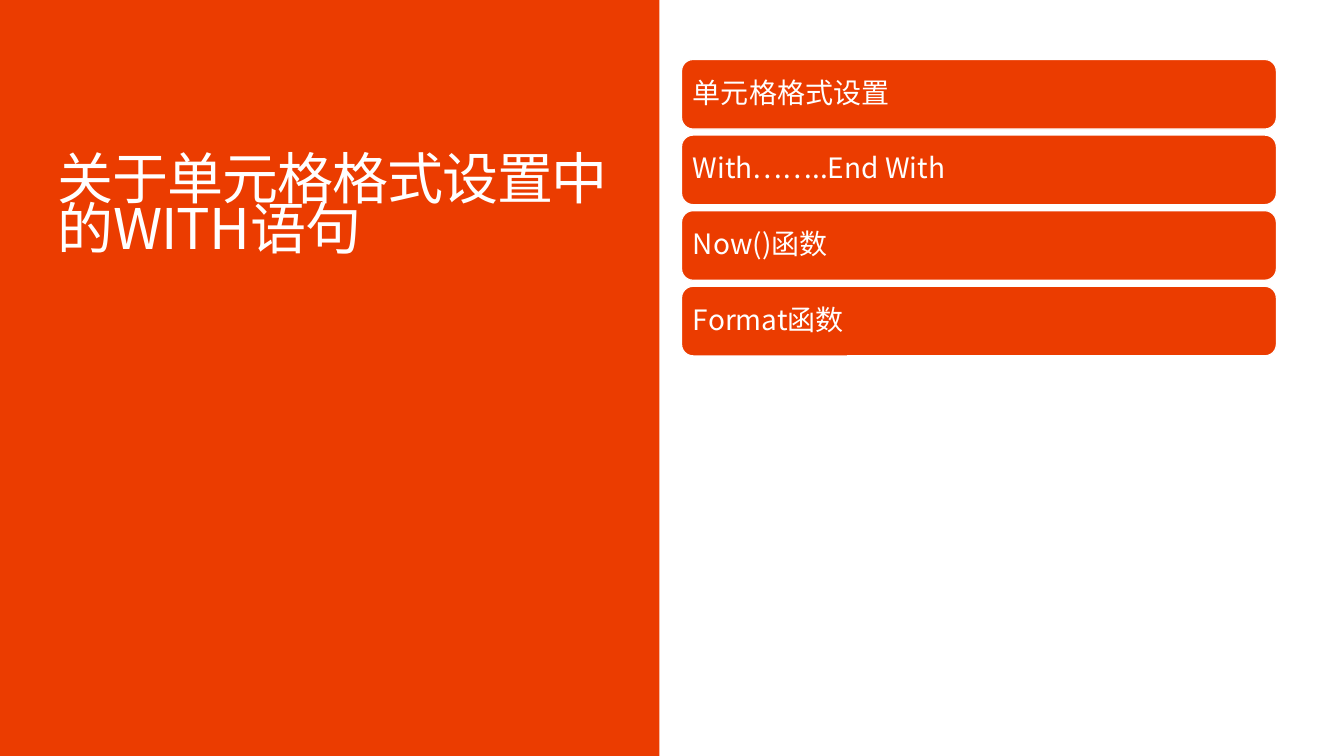
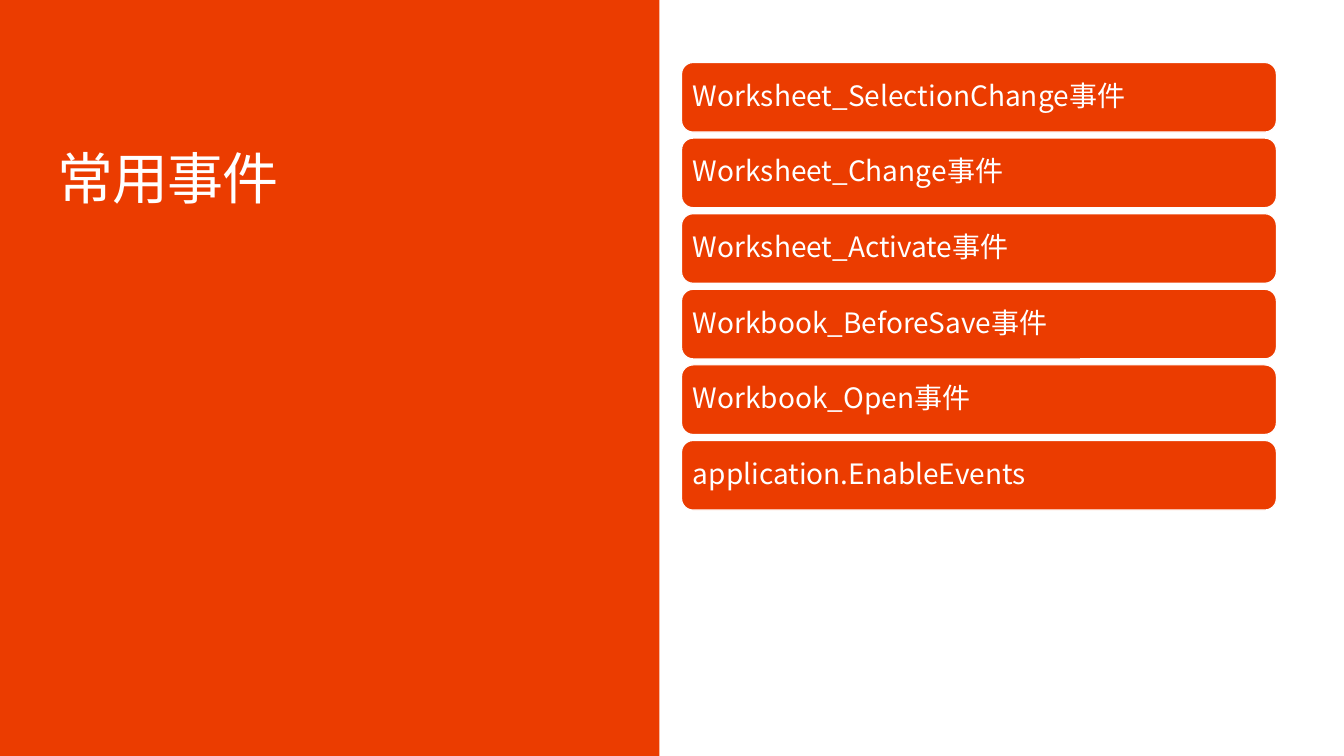
from dataclasses import dataclass
from pptx import Presentation
from pptx.dml.color import RGBColor
from pptx.enum import shapes, text
from pptx.oxml.ns import qn
from pptx.util import Inches, Pt


@dataclass(frozen=True)
class Theme:
    fill: RGBColor = RGBColor(0xEB, 0x3C, 0x00)
    white: RGBColor = RGBColor(0xFF, 0xFF, 0xFF)
    font: str = "Noto Sans CJK SC"
    head: int = 40
    body: int = 20


theme = Theme()

# Title, top of the first bar, bar texts
pages = [
    ("关于单元格格式设置中的WITH语句", 0.59,
     ["单元格格式设置", "With……..End With", "Now()函数", "Format函数"]),
    ("常用事件", 0.62,
     ["Worksheet_SelectionChange事件", "Worksheet_Change事件",
      "Worksheet_Activate事件", "Workbook_BeforeSave事件",
      "Workbook_Open事件", "application.EnableEvents"]),
]


def add_box(slide, kind, left, top, width, height):
    box = slide.shapes.add_shape(kind, Inches(left), Inches(top),
                                 Inches(width), Inches(height))
    box.shadow.inherit = False
    box.fill.solid()
    box.fill.fore_color.rgb = theme.fill
    box.line.fill.background()
    return box


def set_text(shape, words, size, inset, anchor, space):
    frame = shape.text_frame
    frame.text = words
    frame.word_wrap = True
    frame.auto_size = text.MSO_AUTO_SIZE.NONE
    frame.vertical_anchor = anchor
    frame.margin_left = frame.margin_right = Inches(inset)
    frame.margin_top = frame.margin_bottom = Inches(inset)
    para = frame.paragraphs[0]
    para.alignment = text.PP_ALIGN.LEFT
    para.line_spacing = space
    run = para.runs[0]
    run.font.size = Pt(size)
    run.font.name = theme.font
    run.font.color.rgb = theme.white
    props = run.font._element
    east = props.makeelement(qn("a:ea"), {"typeface": theme.font})
    props.find(qn("a:latin")).addnext(east)
    return para


deck = Presentation()
deck.slide_width = Inches(13.33)
deck.slide_height = Inches(7.5)
layout = deck.slide_layouts[5]

for num, (name, start, items) in enumerate(pages):
    slide = deck.slides.add_slide(layout)

    # Left panel, moved once to the shared layout
    if num == 0:
        panel = add_box(slide, shapes.MSO_SHAPE.RECTANGLE, -0.01, 0, 6.55, 7.5)
        panel._element.nvSpPr.cNvPr.set("id", "20")
        layout.shapes._spTree.insert(2, panel._element)

    # Title
    title = slide.shapes.title
    title.left, title.top = Inches(0.57), Inches(1.58)
    title.width, title.height = Inches(5.72), Inches(1.82)
    para = set_text(title, name, theme.head, 0, text.MSO_ANCHOR.TOP, 0.75)
    para.space_before = Pt(2)
    para.runs[0].font._element.set("spc", "-70")

    # Topic bars
    for row, item in enumerate(items):
        bar = add_box(slide, shapes.MSO_SHAPE.ROUNDED_RECTANGLE,
                      6.76, start + row * 0.75, 5.9, 0.69)
        bar.line.color.rgb = theme.white
        bar.line.width = Pt(0.85)
        set_text(bar, item, theme.body, 0.08, text.MSO_ANCHOR.MIDDLE, 0.9)

deck.save("out.pptx")
